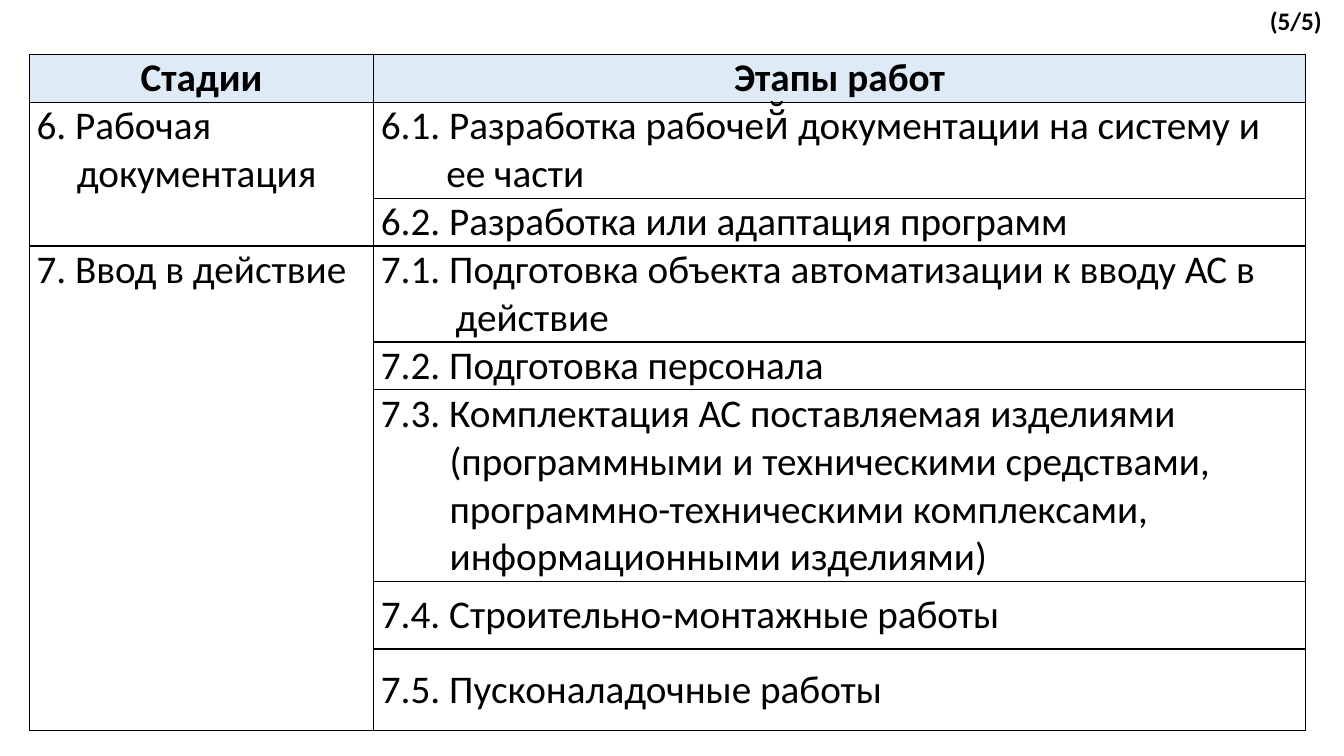
from dataclasses import dataclass

import pptx
import pptx.dml.color
import pptx.enum.text
import pptx.oxml
import pptx.oxml.ns
import pptx.util
from pptx.util import Cm

Align = pptx.enum.text.PP_ALIGN
Anchor = pptx.enum.text.MSO_ANCHOR


@dataclass(frozen=True)
class Theme:
    font: str = "Calibri"
    ink: str = "000000"
    header_fill: str = "DEEBF7"
    table_size: int = 28
    page_size: int = 18
    border_width: int = 1
    cell_margin: float = 0.18
    step_gap: int = 12


HEADINGS = ("Стадии", "Этапы работ")
COLUMN_WIDTHS = (8.68, 23.47)
HEADER_HEIGHT = 1.09

# Stage: (text, hanging indent in cm, merged, steps); step: (text, hanging indent, row height)
STAGES = (
    ("6. Рабочая документация", 1.02, True, (
        ("6.1. Разработка рабочей̆ документации на систему и ее части", 1.65, 2.16),
        ("6.2. Разработка или адаптация программ", 0, 1.09),
    )),
    ("7. Ввод в действие", 1.14, False, (
        ("7.1. Подготовка объекта автоматизации к вводу АС в действие", 1.88, 2.16),
        ("7.2. Подготовка персонала", 0, 1.09),
        ("7.3. Комплектация АС поставляемая изделиями (программными и техническими "
         "средствами, программно-техническими комплексами, информационными изделиями)",
         1.73, 4.32),
        ("7.4. Строительно-монтажные работы", 0, 1.7),
        ("7.5. Пусконаладочные работы", 0, 2.06),
    )),
)


class PageBuilder:
    def __init__(self, page, theme):
        self.page = page
        self.theme = theme

    def style_runs(self, para, size, bold=False):
        for span in para.runs:
            span.font.name = self.theme.font
            span.font.size = pptx.util.Pt(size)
            span.font.bold = bold
            span.font.color.rgb = pptx.dml.color.RGBColor.from_string(self.theme.ink)

    def text(self, left, top, width, height, words, size, bold=False):
        box = self.page.shapes.add_textbox(Cm(left), Cm(top), Cm(width), Cm(height))
        box.text_frame.word_wrap = True
        para = box.text_frame.paragraphs[0]
        para.text = words
        self.style_runs(para, size, bold)

    def table(self, left, top, widths, heights):
        frame = self.page.shapes.add_table(
            len(heights), len(widths), Cm(left), Cm(top), Cm(sum(widths)), Cm(sum(heights)))
        table = frame.table
        table.first_row = table.horz_banding = False
        for column, width in zip(table.columns, widths):
            column.width = Cm(width)
        for row, height in zip(table.rows, heights):
            row.height = Cm(height)
        for cell in table.iter_cells():
            cell.margin_left = cell.margin_right = Cm(self.theme.cell_margin)
            cell.margin_top = cell.margin_bottom = 0
        return table

    def frame_cell(self, cell, open_sides=""):
        """Draw the borders of an unfilled cell, leaving out the open sides."""
        properties = cell._tc.get_or_add_tcPr()
        width = pptx.util.Pt(self.theme.border_width)
        ink = f'<a:solidFill><a:srgbClr val="{self.theme.ink}"/></a:solidFill>'
        for side in "LRTB":
            stroke = "<a:noFill/>" if side in open_sides else ink
            properties.append(pptx.oxml.parse_xml(
                f'<a:ln{side} {pptx.oxml.ns.nsdecls("a")} w="{width}">{stroke}</a:ln{side}>'))
        cell.fill.background()

    def heading_cell(self, cell, words):
        self.frame_cell(cell)
        self.body_cell(cell, words, bold=True)
        cell.text_frame.paragraphs[0].alignment = Align.CENTER
        cell.fill.solid()
        cell.fill.fore_color.rgb = pptx.dml.color.RGBColor.from_string(self.theme.header_fill)

    def body_cell(self, cell, words, hanging=0, anchor=Anchor.MIDDLE, gap=0, bold=False):
        cell.vertical_anchor = anchor
        para = cell.text_frame.paragraphs[0]
        para.text = words
        para.space_after = pptx.util.Pt(gap)
        if hanging:
            properties = para._p.get_or_add_pPr()
            properties.set("marL", str(Cm(hanging)))
            properties.set("indent", str(-Cm(hanging)))
        self.style_runs(para, self.theme.table_size, bold)


def add_stage_table(builder):
    heights = [HEADER_HEIGHT]
    heights += [height for *_, steps in STAGES for _, _, height in steps]
    table = builder.table(0.74, 1.37, COLUMN_WIDTHS, heights)
    for column, heading in enumerate(HEADINGS):
        builder.heading_cell(table.cell(0, column), heading)
    row = 1
    for stage, stage_indent, merged, steps in STAGES:
        first, last = row, row + len(steps) - 1
        if merged:
            table.cell(first, 0).merge(table.cell(last, 0))
        builder.body_cell(table.cell(first, 0), stage, stage_indent, Anchor.TOP)
        for step, step_indent, _ in steps:
            open_sides = ""
            if not merged:
                open_sides = ("T" if row > first else "") + ("B" if row < last else "")
            builder.frame_cell(table.cell(row, 0), open_sides)
            builder.frame_cell(table.cell(row, 1))
            gap = builder.theme.step_gap if row < len(heights) - 1 else 0
            builder.body_cell(table.cell(row, 1), step, step_indent, gap=gap)
            row += 1


def main():
    deck = pptx.Presentation()
    deck.slide_width, deck.slide_height = Cm(33.87), Cm(19.05)
    theme = Theme()
    builder = PageBuilder(deck.slides.add_slide(deck.slide_layouts[6]), theme)
    add_stage_table(builder)
    builder.text(31.75, 0, 2.13, 1.02, "(5/5)", theme.page_size, bold=True)
    deck.save("out.pptx")


if __name__ == "__main__":
    main()
